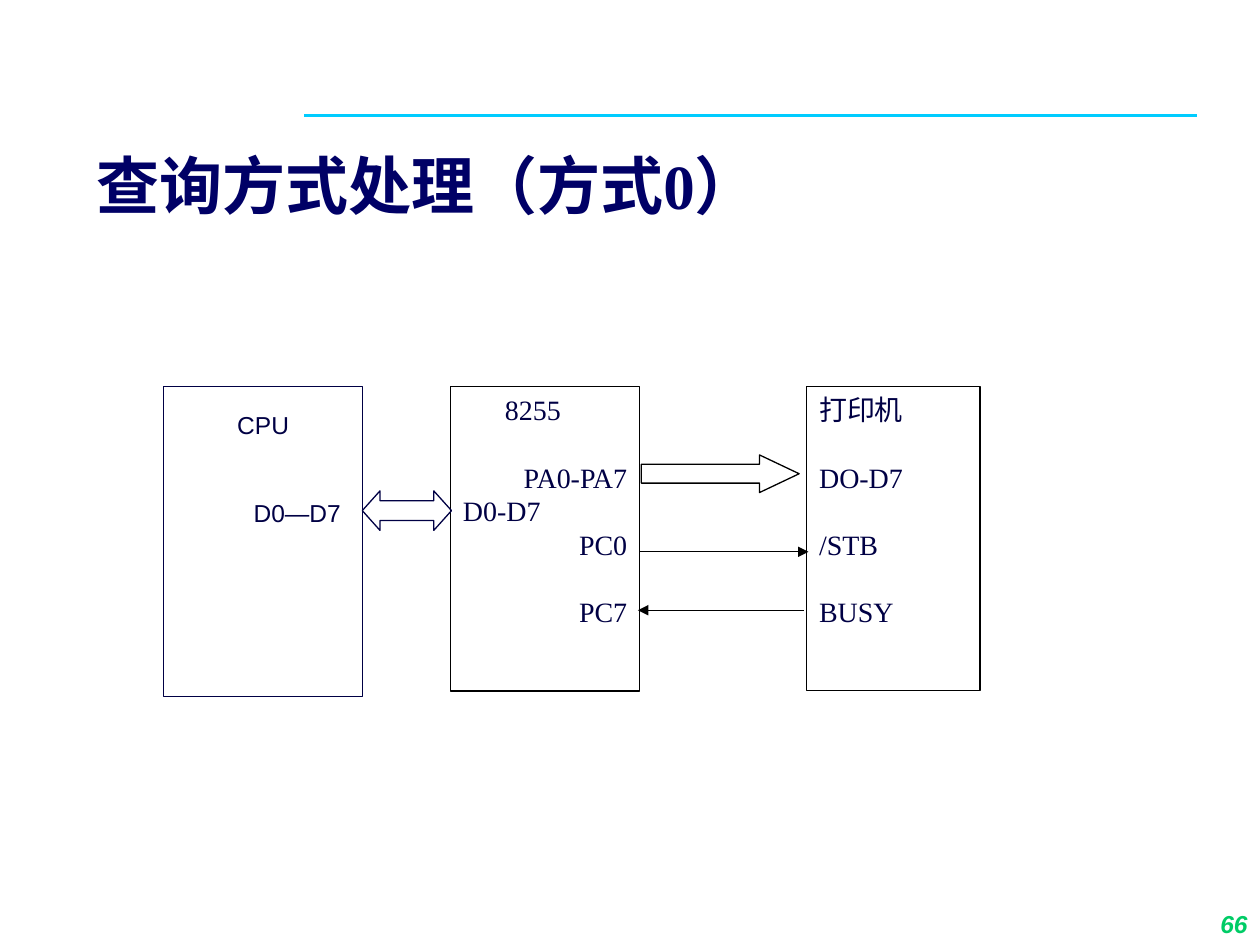
import pptx
import pptx.util
import pptx.dml.color
import pptx.enum.shapes
import pptx.enum.text
import pptx.oxml.ns
import lxml.etree

Pt = pptx.util.Pt
MSO = pptx.enum.shapes.MSO_SHAPE
ALIGN = pptx.enum.text.PP_ALIGN
ANCHOR = pptx.enum.text.MSO_ANCHOR
NAVY, BLACK, WHITE = "000044", "000000", "FFFFFF"
SERIF, SANS = "Times New Roman", "Arial"


def rgb(value):
    return pptx.dml.color.RGBColor.from_string(value)


class Deck:
    """Holds the current slide and draws each kind of element."""

    def __init__(self):
        self.prs = pptx.Presentation()
        self.prs.slide_width, self.prs.slide_height = Pt(720), Pt(540)
        self.s = self.prs.slides.add_slide(self.prs.slide_layouts[6])

    def line(self, x1, y1, x2, y2, color=BLACK, width=0.75, arrow=False):
        c = self.s.shapes.add_connector(
            pptx.enum.shapes.MSO_CONNECTOR.STRAIGHT, Pt(x1), Pt(y1), Pt(x2), Pt(y2))
        c.line.color.rgb = rgb(color)
        c.line.width = Pt(width)
        qn = pptx.oxml.ns.qn
        if arrow:
            lxml.etree.SubElement(c.line._get_or_add_ln(), qn("a:tailEnd"), type="triangle")
        lxml.etree.SubElement(c._element.spPr, qn("a:effectLst"))

    def shape(self, kind, x, y, w, h, line=BLACK, fill=WHITE, adj=()):
        sp = self.s.shapes.add_shape(kind, Pt(x), Pt(y), Pt(w), Pt(h))
        sp.shadow.inherit = False
        if fill:
            sp.fill.solid()
            sp.fill.fore_color.rgb = rgb(fill)
        else:
            sp.fill.background()
        sp.line.color.rgb = rgb(line)
        sp.line.width = Pt(0.75)
        for i, value in enumerate(adj):
            sp.adjustments[i] = value
        return sp

    def box(self, x, y, w, h):
        return self.s.shapes.add_textbox(Pt(x), Pt(y), Pt(w), Pt(h))

    def text(self, sp, rows, size, font=SERIF, color=NAVY, anchor=ANCHOR.TOP,
             spacing=None, top=3.6, bold=False, italic=False):
        """Each row is (text, alignment, left indent, space before)."""
        tf = sp.text_frame
        tf.word_wrap = True
        tf.vertical_anchor = anchor
        tf.margin_top = Pt(top)
        for i, (words, align, indent, before) in enumerate(rows):
            p = tf.add_paragraph() if i else tf.paragraphs[0]
            p.alignment = align
            if indent:
                p._p.get_or_add_pPr().set("marL", str(Pt(indent)))
            if before:
                p.space_before = Pt(before)
            if spacing:
                p.line_spacing = spacing
            r = p.add_run()
            r.text = words
            r.font.name, r.font.size = font, Pt(size)
            r.font.bold, r.font.italic = bold, italic
            r.font.color.rgb = rgb(color)


def main():
    d = Deck()
    top = 221
    pitch, cpu_pitch = 19.2, 16.8

    # Rule and title
    d.line(174, 66, 684, 66, "00CCFF", 2)
    d.text(d.box(48, 66.2, 594, 83.5), [("查询方式处理（方式0）", ALIGN.LEFT, 0, 0)],
           36, color="000066", anchor=ANCHOR.MIDDLE, spacing=0.9, bold=True)

    # 8255 interface chip
    chip = d.shape(MSO.RECTANGLE, 257.5, top, 108, 174)
    d.text(chip, [("8255", ALIGN.LEFT, 24, 0),
                  ("PA0-PA7", ALIGN.RIGHT, 0, pitch),
                  ("D0-D7", ALIGN.LEFT, 0, 0),
                  ("PC0", ALIGN.RIGHT, 0, 0),
                  ("PC7", ALIGN.RIGHT, 0, pitch)], 16, spacing=Pt(pitch))

    # Printer
    printer = d.shape(MSO.RECTANGLE, 461, top, 99, 173.5)
    labels = ["打印机", "DO-D7", "/STB", "BUSY"]
    d.text(printer, [(t, ALIGN.LEFT, 0, pitch if i else 0) for i, t in enumerate(labels)],
           16, spacing=Pt(pitch))

    # Signals between chip and printer
    d.shape(MSO.RIGHT_ARROW, 366.5, 260, 90.2, 21.5, adj=(0.5, 1.053))
    d.line(365.8, 315.3, 462, 315.3, arrow=True)
    d.line(459.2, 348.7, 364.5, 348.7, arrow=True)

    # CPU and data bus
    cpu = d.shape(MSO.RECTANGLE, 93.6, top, 113.6, 177, NAVY, None)
    d.text(cpu, [("CPU", ALIGN.CENTER, 0, 0),
                 ("D0—D7", ALIGN.CENTER, 39, 2 * cpu_pitch)],
           14, SANS, spacing=Pt(cpu_pitch), top=13.5)
    d.shape(MSO.LEFT_RIGHT_ARROW, 207, 280.5, 51, 22.6, NAVY, None, (0.5, 0.449))

    # Page number
    d.text(d.box(570, 504, 150, 36), [("66", ALIGN.RIGHT, 0, 0)], 14, SANS, "00CC66",
           ANCHOR.BOTTOM, bold=True, italic=True)

    d.prs.save("out.pptx")


if __name__ == "__main__":
    main()
